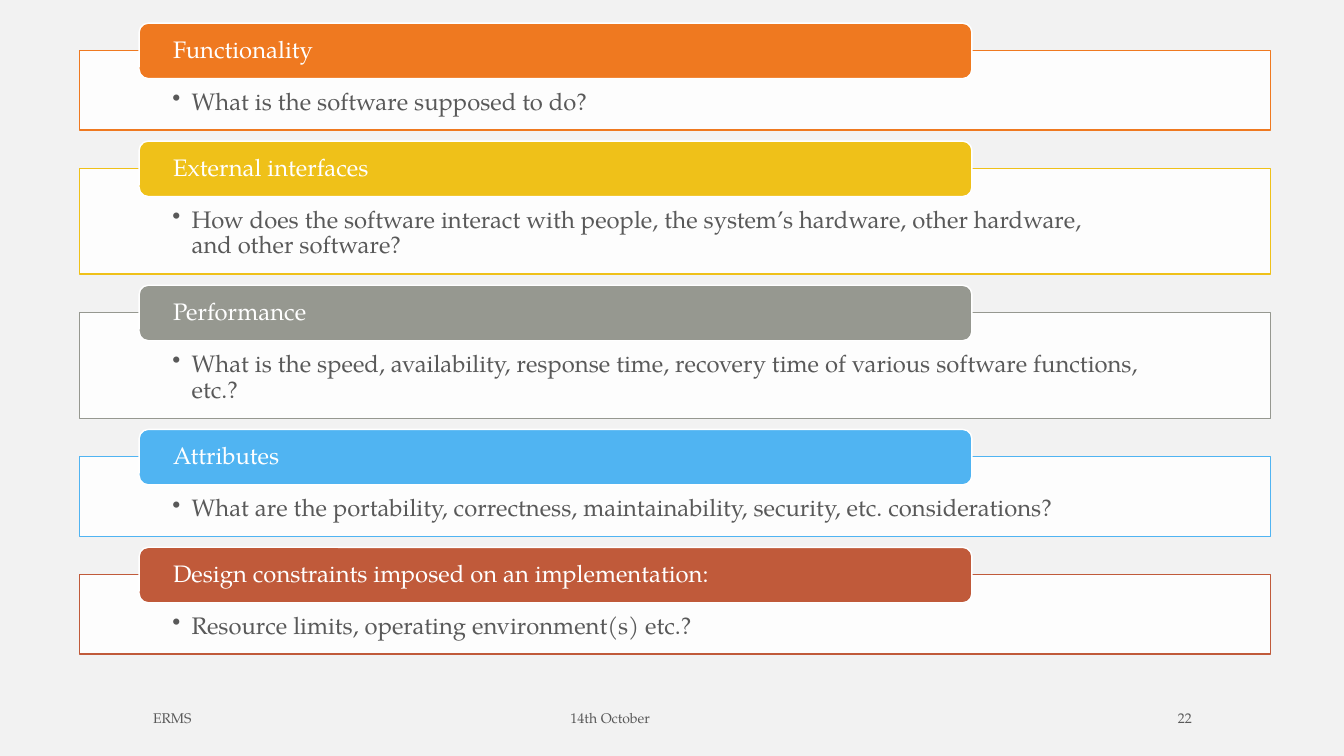
import pptx
import pptx.dml.color
import pptx.enum.shapes
import pptx.enum.text
import pptx.oxml.ns
import pptx.util
from lxml import etree
from pptx.util import Inches

FONT = "TeX Gyre Pagella"
WHITE, GREY = "FFFFFF", "595959"
ALIGN = pptx.enum.text.PP_ALIGN
ANCHOR = pptx.enum.text.MSO_ANCHOR
SHAPE = pptx.enum.shapes.MSO_SHAPE

REQUIREMENTS = [
    ("Functionality", "What is the software supposed to do?", "EF7920", 0.79),
    ("External interfaces",
     "How does the software interact with people, the system’s hardware, "
     "other hardware,\vand other software?", "EFC119", 1.05),
    ("Performance",
     "What is the speed, availability, response time, recovery time of "
     "various software functions, etc.?", "969890", 1.05),
    ("Attributes",
     "What are the portability, correctness, maintainability, security, "
     "etc. considerations?", "50B4F2", 0.79),
    ("Design constraints imposed on an implementation:",
     "Resource limits, operating environment(s) etc.?", "C05A3A", 0.79),
]
FIRST_TOP, GAP = 0.5, 0.38
HEADING_RISE = 0.27


def rgb(value):
    return pptx.dml.color.RGBColor.from_string(value)


def add_child(parent, tag, **attributes):
    child = etree.SubElement(parent, pptx.oxml.ns.qn(tag))
    for key, value in attributes.items():
        child.set(key, str(value))
    return child


def write_text(holder, text, size=17, color=GREY, align=ALIGN.LEFT,
               anchor=ANCHOR.MIDDLE, insets=(0.1, 0.05, 0.1, 0.05),
               spacing=None, bullet_indent=None, tab=None):
    frame = holder.text_frame
    frame.word_wrap = True
    frame.vertical_anchor = anchor
    (frame.margin_left, frame.margin_top,
     frame.margin_right, frame.margin_bottom) = map(Inches, insets)
    paragraph = frame.paragraphs[0]
    paragraph.text = text
    properties = paragraph._p.get_or_add_pPr()
    if bullet_indent:
        properties.set("marL", str(Inches(bullet_indent)))
        properties.set("indent", str(-Inches(bullet_indent)))
        add_child(properties, "a:buChar", char="•")
    if tab:
        stops = add_child(properties, "a:tabLst")
        add_child(stops, "a:tab", pos=Inches(tab), algn="l")
    paragraph.alignment = align
    paragraph.line_spacing = spacing
    for run in paragraph.runs:
        run.font.name = FONT
        run.font.size = pptx.util.Pt(size)
        run.font.color.rgb = rgb(color)


def add_block(slide, kind, left, top, width, height, fill, line, opacity=100):
    block = slide.shapes.add_shape(kind, *map(Inches, (left, top, width, height)))
    block.shadow.inherit = False
    block.fill.solid()
    block.fill.fore_color.rgb = rgb(fill)
    if opacity < 100:
        color = block.fill._xPr.find(".//" + pptx.oxml.ns.qn("a:srgbClr"))
        add_child(color, "a:alpha", val=opacity * 1000)
    block.line.color.rgb = rgb(line)
    block.line.width = pptx.util.Pt(1)
    return block


def add_requirement(slide, top, heading, question, color, height):
    panel = add_block(slide, SHAPE.RECTANGLE, 0.79, top, 11.81, height,
                      WHITE, color, opacity=90)
    write_text(panel, question, anchor=ANCHOR.TOP, spacing=0.9,
               insets=(0.92, 0.39, 0.92, 0.13), bullet_indent=0.19)
    tab = add_block(slide, SHAPE.ROUNDED_RECTANGLE, 1.38, top - HEADING_RISE,
                    8.26, 0.55, color, WHITE)
    write_text(tab, heading, color=WHITE, spacing=0.9, insets=(0.31, 0, 0.31, 0))


def add_footer(slide, left, width, text, **text_format):
    box = slide.shapes.add_textbox(*map(Inches, (left, 6.97, width, 0.3)))
    write_text(box, text, size=10, **text_format)


def main():
    deck = pptx.Presentation()
    deck.slide_width, deck.slide_height = Inches(13.33), Inches(7.5)
    slide = deck.slides.add_slide(deck.slide_layouts.get_by_name("Blank"))
    slide.background.fill.solid()
    slide.background.fill.fore_color.rgb = rgb("F2F2F2")

    top = FIRST_TOP
    for heading, question, color, height in REQUIREMENTS:
        add_requirement(slide, top, heading, question, color, height)
        top += height + GAP

    add_footer(slide, 1.42, 6.83, "ERMS\t14th October", tab=4.14)
    add_footer(slide, 10.42, 1.5, "22", align=ALIGN.RIGHT)
    deck.save("out.pptx")


if __name__ == "__main__":
    main()
